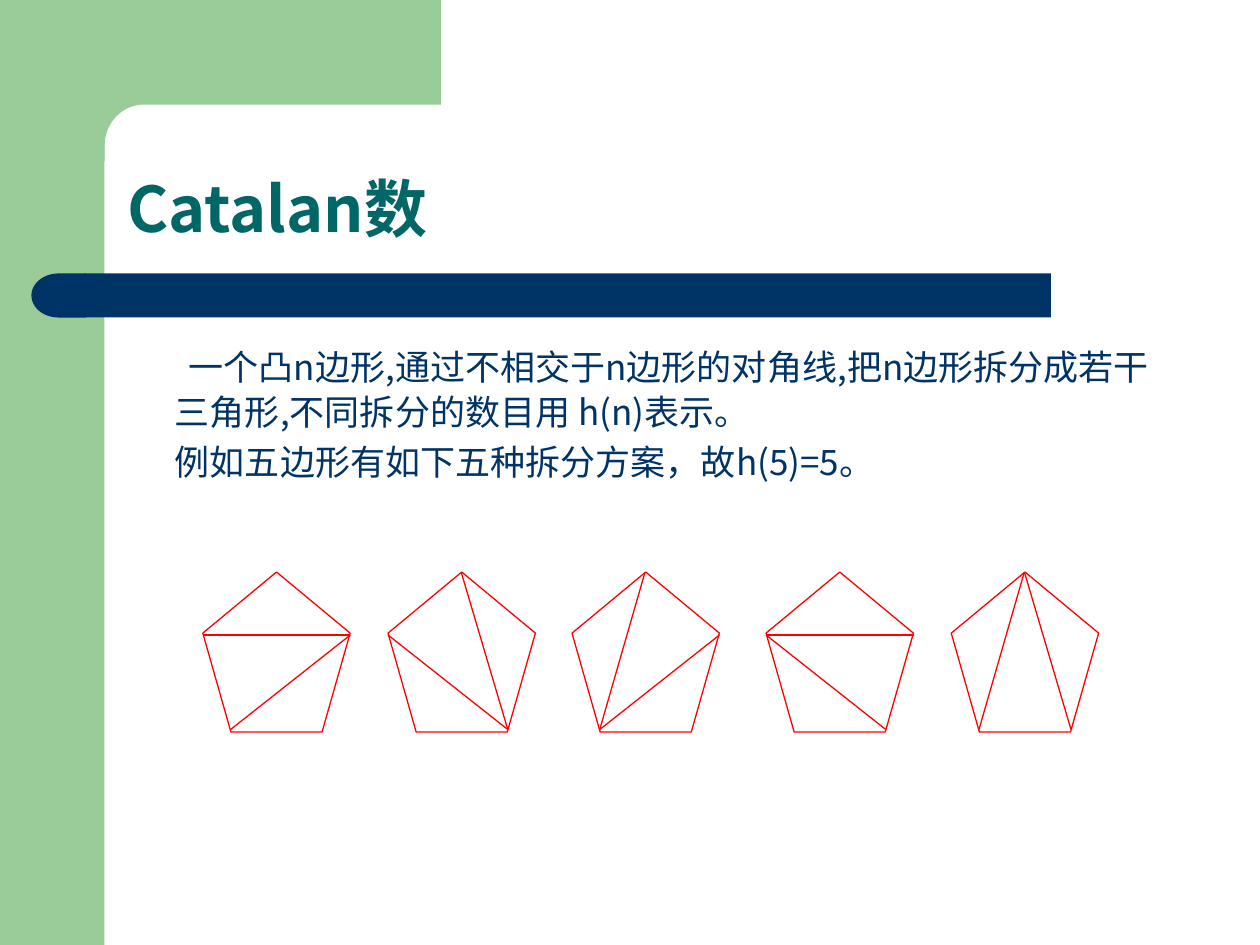
from dataclasses import dataclass
from math import cos, pi, sin

from lxml import etree
from pptx import Presentation
from pptx.dml.color import RGBColor
from pptx.enum.shapes import MSO_CONNECTOR, MSO_SHAPE
from pptx.enum.text import MSO_ANCHOR
from pptx.oxml.ns import qn
from pptx.util import Inches, Pt

RECT = MSO_SHAPE.RECTANGLE
DELAY = MSO_SHAPE.FLOWCHART_DELAY
PENTAGON = MSO_SHAPE.REGULAR_PENTAGON
STRAIGHT = MSO_CONNECTOR.STRAIGHT
BOTTOM = MSO_ANCHOR.BOTTOM


@dataclass(frozen=True)
class Theme:
    green: RGBColor = RGBColor(0x99, 0xCC, 0x99)
    navy: RGBColor = RGBColor(0x00, 0x33, 0x66)
    teal: RGBColor = RGBColor(0x00, 0x66, 0x66)
    red: RGBColor = RGBColor(0xFF, 0x00, 0x00)
    font: str = "Noto Sans CJK SC"
    lead_font: str = "Arial"
    title: Pt = Pt(36)
    body: Pt = Pt(20)
    lead: Pt = Pt(28)
    line: Pt = Pt(0.75)


theme = Theme()


def paint(sp, color):
    sp.shadow.inherit = False
    sp.fill.solid()
    sp.fill.fore_color.rgb = color
    sp.line.fill.background()


def style(r, size, color, font=theme.font, bold=False):
    r.font.name = font
    r.font.size = size
    r.font.color.rgb = color
    r.font.bold = bold
    ea = etree.SubElement(r._r.get_or_add_rPr(), qn("a:ea"))
    ea.set("typeface", font)


prs = Presentation()
prs.slide_width, prs.slide_height = Inches(10), Inches(7.5)
s = prs.slides.add_slide(prs.slide_layouts[6])

# Green side band
sp = s.shapes.add_shape(RECT, 0, 0, Inches(0.83), Inches(7.5))
paint(sp, theme.green)

# Green top band with a rounded inner corner
steps = 16
angles = [pi / 2 * i / steps for i in range(steps + 1)]
arc = [(1.14 - 0.31 * sin(a), 1.16 - 0.33 * cos(a)) for a in angles]
outline = [(3.5, 0), (3.5, 0.83), *arc, (0.83, 1.28), (0.5, 1.28)]
fb = s.shapes.build_freeform(Inches(0.5), 0)
fb.add_line_segments([(Inches(x), Inches(y)) for x, y in outline], close=True)
paint(fb.convert_to_shape(), theme.green)

# Navy bar with a rounded left end
sp = s.shapes.add_shape(RECT, Inches(0.67), Inches(2.17), Inches(7.67), Inches(0.35))
paint(sp, theme.navy)
sp = s.shapes.add_shape(DELAY, Inches(0.25), Inches(2.17), Inches(0.43), Inches(0.35))
paint(sp, theme.navy)
sp._element.spPr.find(qn("a:xfrm")).set("flipH", "1")

# Title
sp = s.shapes.add_textbox(Inches(0.91), Inches(0.91), Inches(8.51), Inches(1.09))
tf = sp.text_frame
tf.word_wrap = True
tf.vertical_anchor = BOTTOM
tf.text = "Catalan数"
p = tf.paragraphs[0]
p.line_spacing = 0.9
style(p.runs[0], theme.title, theme.teal, bold=True)

# Body text
sp = s.shapes.add_textbox(Inches(1.29), Inches(2.58), Inches(8.14), Inches(4.07))
tf = sp.text_frame
tf.word_wrap = True
p = tf.paragraphs[0]
r = p.add_run()
r.text = " "
style(r, theme.lead, theme.navy, theme.lead_font)
r = p.add_run()
r.text = "一个凸n边形,通过不相交于n边形的对角线,把n边形拆分成若干三角形,不同拆分的数目用 h(n)表示。"
style(r, theme.body, theme.navy)
p = tf.add_paragraph()
p.text = "例如五边形有如下五种拆分方案，故h(5)=5。"
p.space_before = Pt(5)
style(p.runs[0], theme.body, theme.navy)

# Five pentagons, each with the two diagonals that split it
top = 4.54
corners = {
    "top": (0.58, 0),
    "left": (0, 0.5),
    "right": (1.17, 0.5),
    "base_left": (0.22, 1.25),
    "base_right": (0.95, 1.25),
}
splits = [
    (1.61, [("right", "left"), ("right", "base_left")]),
    (3.08, [("left", "base_right"), ("top", "base_right")]),
    (4.54, [("right", "base_left"), ("top", "base_left")]),
    (6.08, [("right", "left"), ("left", "base_right")]),
    (7.55, [("top", "base_right"), ("top", "base_left")]),
]
for left, diagonals in splits:
    sp = s.shapes.add_shape(PENTAGON, Inches(left), Inches(top), Inches(1.17), Inches(1.27))
    sp.shadow.inherit = False
    sp.fill.background()
    sp.line.color.rgb = theme.red
    sp.line.width = theme.line
    for start, end in diagonals:
        (x1, y1), (x2, y2) = corners[start], corners[end]
        cx = s.shapes.add_connector(STRAIGHT, Inches(left + x1), Inches(top + y1),
                                    Inches(left + x2), Inches(top + y2))
        cx.line.color.rgb = theme.red
        cx.line.width = theme.line
        etree.SubElement(cx._element.spPr, qn("a:effectLst"))

prs.save("out.pptx")
